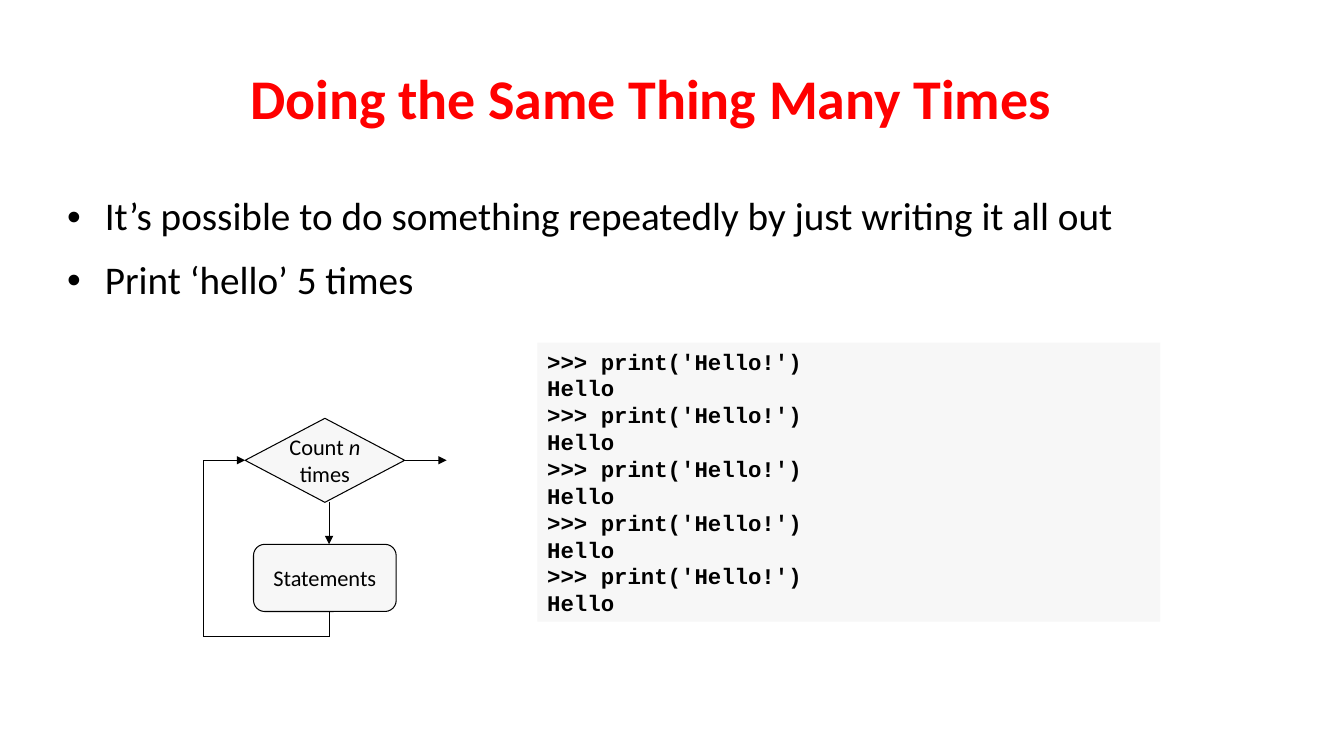
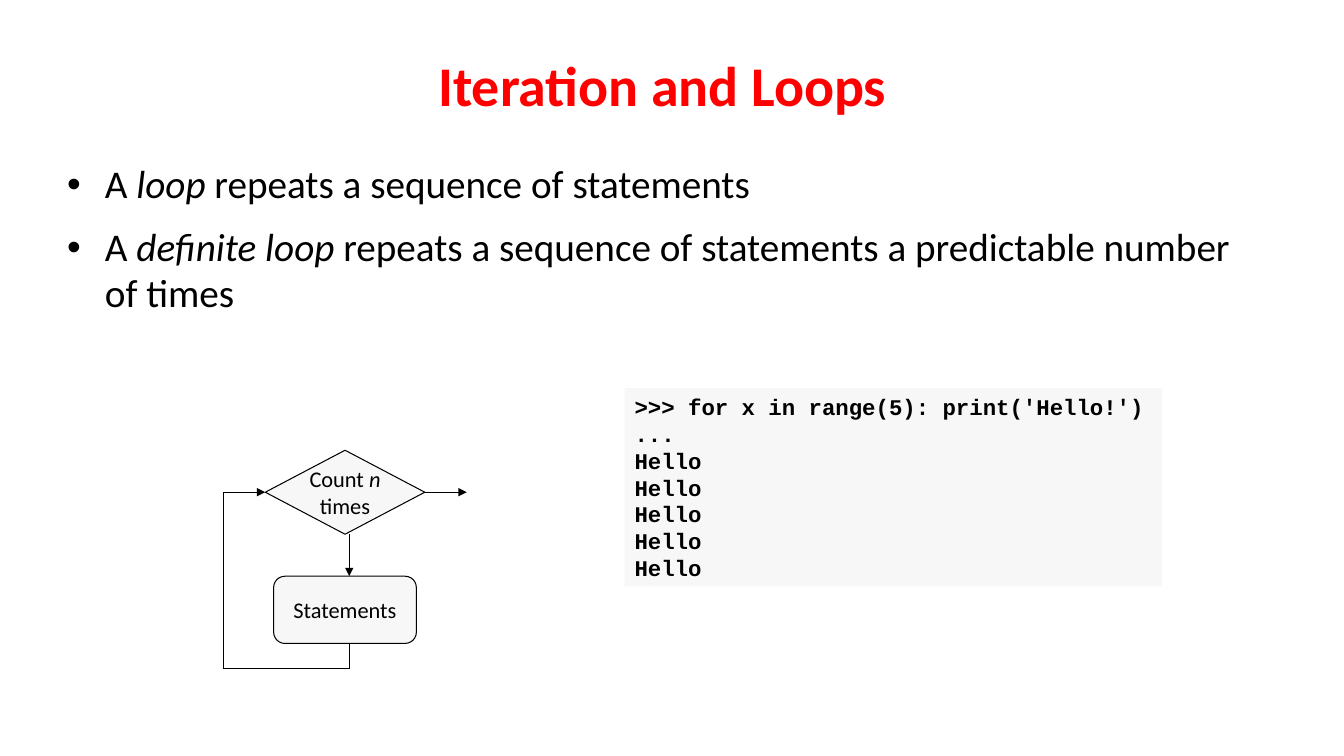
"""Build two slides that introduce definite loops with a flowchart and a Python session."""
import lxml.etree
import pptx
import pptx.dml.color
import pptx.enum.shapes
import pptx.enum.text
import pptx.oxml.ns
import pptx.util

COLORS = {"title": "FF0000", "ink": "000000", "panel": "F7F7F7"}
FONTS = {"text": "Calibri", "code": "Courier New"}
CELLS_PER_INCH = 12
INDENT = 4.5
ALIGN = pptx.enum.text.PP_ALIGN
ANCHOR = pptx.enum.text.MSO_ANCHOR
FIT = pptx.enum.text.MSO_AUTO_SIZE
SHAPE = pptx.enum.shapes.MSO_SHAPE
qualified = pptx.oxml.ns.qn


def grid(*cells):
    """Turn grid columns or rows into lengths."""
    return [pptx.util.Inches(cell / CELLS_PER_INCH) for cell in cells]


def write_text(shape, lines, size, color="ink", font="text", bold=False, align=ALIGN.LEFT,
               anchor=ANCHOR.TOP, wrap=True, fit=FIT.NONE, spacing=None, bullets=False):
    """Fill a shape with one paragraph per line; text between asterisks is italic."""
    frame = shape.text_frame
    frame.word_wrap = wrap
    frame.auto_size = fit
    frame.vertical_anchor = anchor
    if bullets:
        frame.margin_left = frame.margin_right = frame.margin_bottom = 0
        frame.margin_top = pptx.util.Inches(0.17)
    for index, line in enumerate(lines):
        paragraph = frame.add_paragraph() if index else frame.paragraphs[0]
        paragraph.alignment = align
        if spacing:
            paragraph.line_spacing = spacing
        if bullets:
            paragraph.space_after = pptx.util.Pt(12.9)
            properties = paragraph._p.get_or_add_pPr()
            indent = grid(INDENT)[0]
            properties.set("marL", str(indent))
            properties.set("indent", str(-indent))
            lxml.etree.SubElement(properties, qualified("a:buFont"), typeface="Arial")
            lxml.etree.SubElement(properties, qualified("a:buChar"), char="•")
        for position, part in enumerate(line.split("*")):
            run = paragraph.add_run()
            run.text = part
            run.font.name = FONTS[font]
            run.font.size = pptx.util.Pt(size)
            run.font.bold = bold
            run.font.italic = position % 2 == 1
            run.font.color.rgb = pptx.dml.color.RGBColor.from_string(COLORS[color])


slides = [
    {
        "title": "Doing the Same Thing Many Times",
        "title_box": (22, 4.4, 111, 15),
        "bullets": ["It’s possible to do something repeatedly by just writing it all out",
                    "Print ‘hello’ 5 times"],
        "bullets_box": (8, 21.1, 141.8, 57.7),
        "code": [">>> print('Hello!')", "Hello"] * 5,
        "code_box": (64, 40.8, 74.2, 33.2),
        "flowchart": (24.2, 49.8),
    },
    {
        "title": "Iteration and Loops",
        "title_box": (8, 3.4, 141.8, 13.8),
        "bullets": ["A *loop* repeats a sequence of statements",
                    "A *definite loop* repeats a sequence of statements"
                    " a predictable number of times"],
        "bullets_box": (8, 17.2, 141.8, 68.9),
        "code": [">>> for x in range(5): print('Hello!')", "..."] + ["Hello"] * 5,
        "code_box": (74.4, 46.2, 64, 23.6),
        "flowchart": (26.6, 53.6),
    },
]

flow_nodes = [
    (SHAPE.ROUNDED_RECTANGLE, (6, 15, 17, 8), ["Statements"]),
    (SHAPE.DIAMOND, (5, 0, 19, 10), ["Count *n*", "times"]),
]
flow_lines = [
    ((15, 10), (15, 15), True),
    ((15, 23), (15, 26), False),
    ((15, 26), (0, 26), False),
    ((0, 26), (0, 5), False),
    ((0, 5), (5, 5), True),
    ((24, 5), (29, 5), True),
]

presentation = pptx.Presentation()
presentation.slide_width = pptx.util.Inches(13.34)
presentation.slide_height = pptx.util.Inches(7.5)
title_only = presentation.slide_layouts[5]
ink = pptx.dml.color.RGBColor.from_string(COLORS["ink"])
panel = pptx.dml.color.RGBColor.from_string(COLORS["panel"])
line_width = pptx.util.Pt(0.74)

for content in slides:
    slide = presentation.slides.add_slide(title_only)
    title = slide.shapes.title
    title.left, title.top, title.width, title.height = grid(*content["title_box"])
    write_text(title, [content["title"]], 40, color="title", bold=True,
               align=ALIGN.CENTER, anchor=ANCHOR.MIDDLE, spacing=0.97)

    bullets = slide.shapes.add_textbox(*grid(*content["bullets_box"]))
    write_text(bullets, content["bullets"], 28, spacing=0.97, bullets=True)

    code = slide.shapes.add_shape(SHAPE.RECTANGLE, *grid(*content["code_box"]))
    code.shadow.inherit = False
    code.fill.solid()
    code.fill.fore_color.rgb = panel
    code.line.fill.background()
    write_text(code, content["code"], 16, font="code", bold=True, fit=FIT.SHAPE_TO_FIT_TEXT)

    left, top = content["flowchart"]
    for kind, (column, row, width, height), lines in flow_nodes:
        node = slide.shapes.add_shape(kind, *grid(left + column, top + row, width, height))
        node.shadow.inherit = False
        node.fill.solid()
        node.fill.fore_color.rgb = panel
        node.line.color.rgb = ink
        node.line.width = line_width
        write_text(node, lines, 16, align=ALIGN.CENTER, anchor=ANCHOR.MIDDLE, wrap=False)

    for (start_column, start_row), (end_column, end_row), has_arrow in flow_lines:
        connector = slide.shapes.add_connector(
            pptx.enum.shapes.MSO_CONNECTOR.STRAIGHT,
            *grid(left + start_column, top + start_row, left + end_column, top + end_row))
        connector.line.color.rgb = ink
        connector.line.width = line_width
        if has_arrow:
            outline = connector.line._get_or_add_ln()
            lxml.etree.SubElement(outline, qualified("a:tailEnd"), type="triangle")
        lxml.etree.SubElement(connector._element.spPr, qualified("a:effectLst"))

presentation.save("out.pptx")
